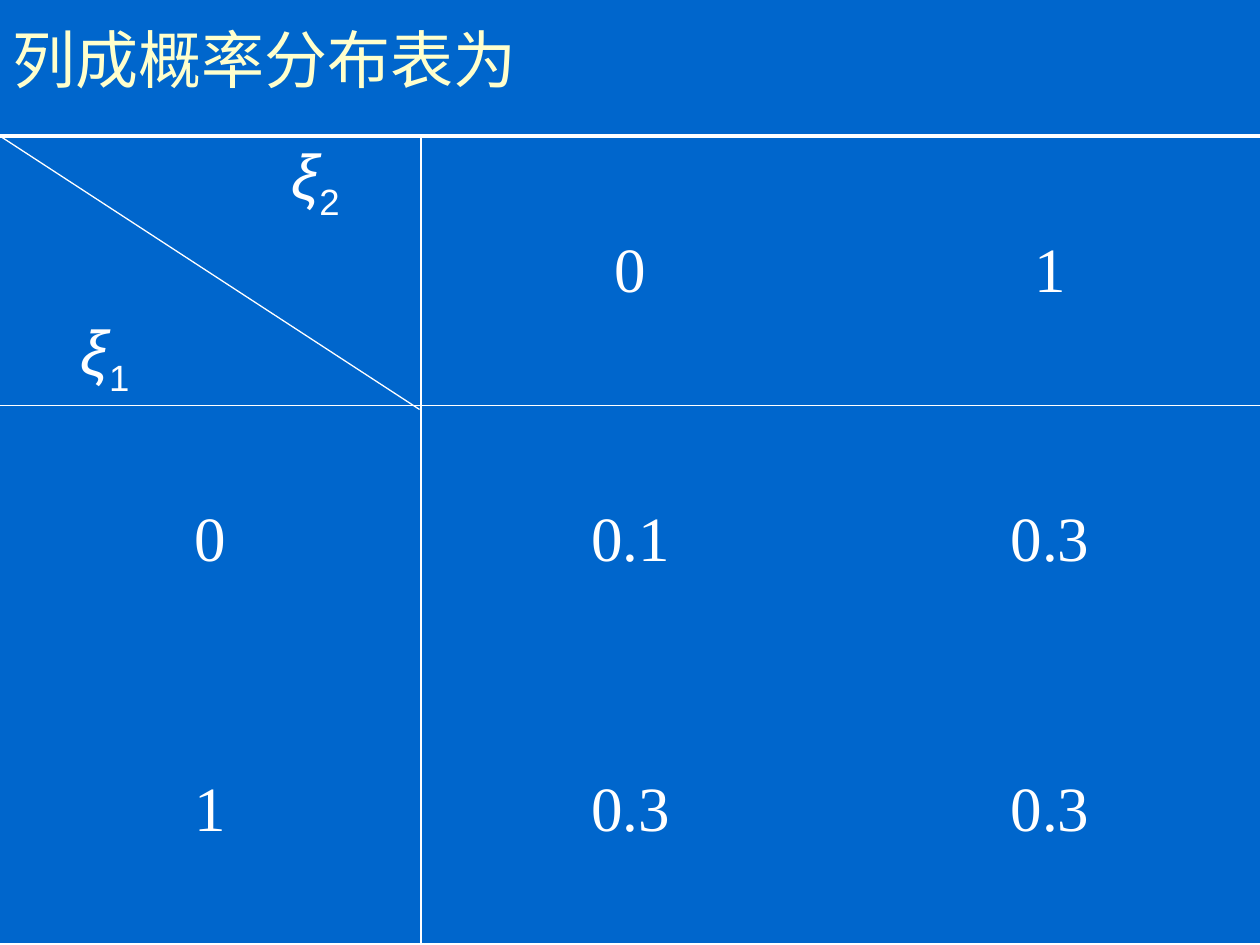
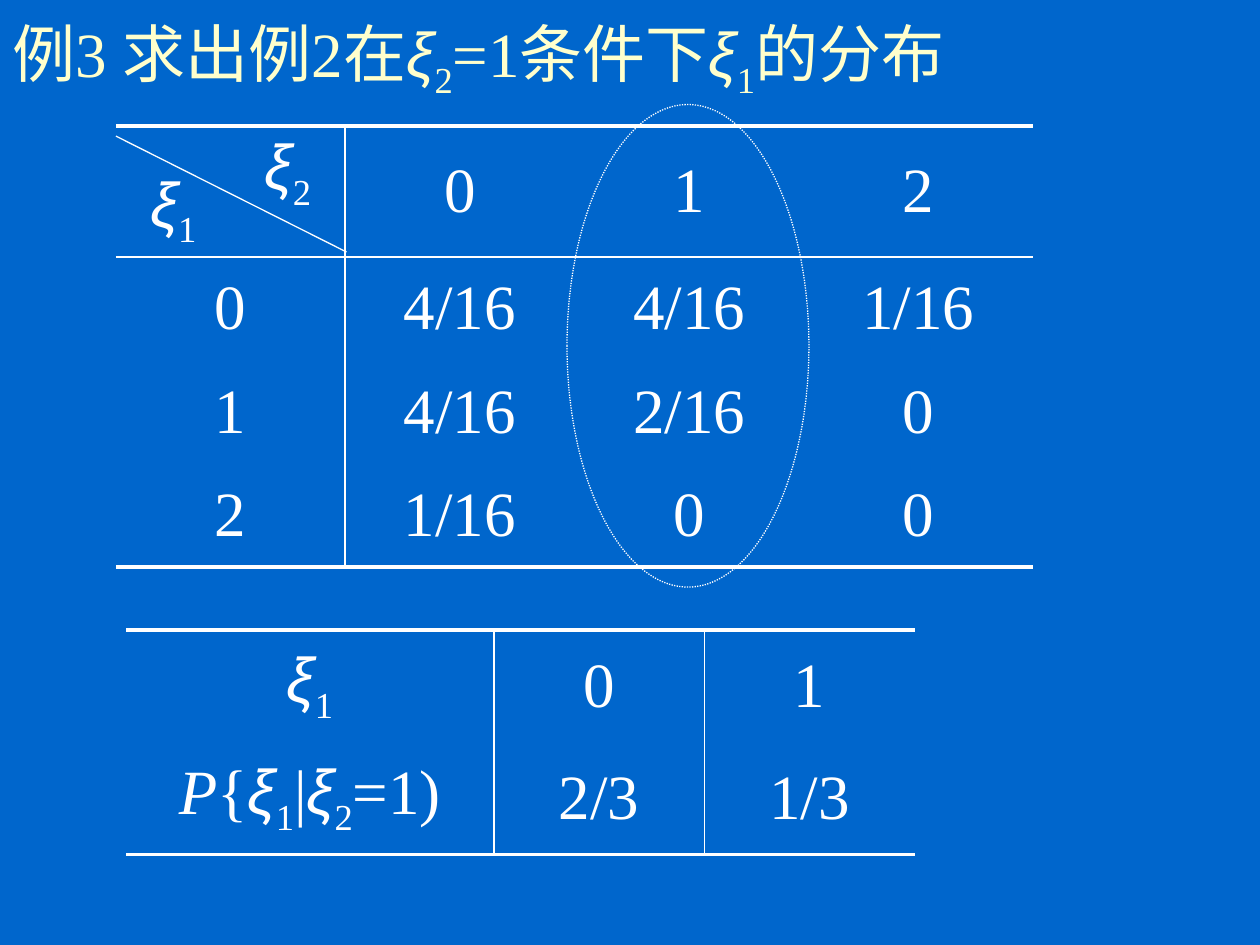
from lxml import etree
from pptx import Presentation
from pptx.dml.color import RGBColor
from pptx.enum import dml, shapes, text
from pptx.oxml.ns import qn
from pptx.util import Inches, Pt

BLUE, CREAM, WHITE = "0066CC", "FFFFCC", "FFFFFF"
SERIF, SANS = "Times New Roman", "Arial"
THICK, THIN, HAIR = 2.25, 1, 0.75

# Run formats: font values, with the baseline shift in percent kept apart
FORMATS = {
    "plain": ({"name": SERIF}, 0),
    "latin": ({"name": SERIF, "italic": True}, 0),
    "greek": ({"name": SANS, "italic": True}, 0),
    "sub": ({"name": SERIF}, -25),
    "sans sub": ({"name": SANS}, -25),
}


def rgb(color):
    return RGBColor.from_string(color)


def xi(index, sub="sub"):
    return [("ξ", "greek"), (index, sub)]


class Deck:
    def __init__(self):
        self.prs = Presentation()
        self.prs.slide_width, self.prs.slide_height = Inches(10), Inches(7.5)
        self.s = None

    def slide(self, title):
        self.s = self.prs.slides.add_slide(self.prs.slide_layouts[5])
        fill = self.s.background.fill
        fill.solid()
        fill.fore_color.rgb = rgb(BLUE)
        sp = self.s.shapes.title
        sp.left, sp.top, sp.width, sp.height = map(Inches, (0, 0, 9.75, 0.92))
        tf = sp.text_frame
        tf.auto_size = text.MSO_AUTO_SIZE.NONE
        tf.vertical_anchor = text.MSO_ANCHOR.MIDDLE
        self.add_runs(tf, title, CREAM, text.PP_ALIGN.LEFT)

    def add_runs(self, tf, content, color=WHITE, align=text.PP_ALIGN.CENTER):
        """Content is a plain string or a list of (text, format name)."""
        p = tf.paragraphs[0]
        p.alignment = align
        runs = [(content, "plain")] if isinstance(content, str) else content
        for words, style in runs:
            r = p.add_run()
            r.text = words
            values, shift = FORMATS[style]
            for key, value in {"size": Pt(36), **values}.items():
                setattr(r.font, key, value)
            r.font.color.rgb = rgb(color)
            if shift:
                r.font._element.set("baseline", str(shift * 1000))

    def border(self, cell, widths):
        """Draw the sides named in widths (points) and clear the others."""
        tc_pr = cell._tc.get_or_add_tcPr()
        for side in "LRTB":
            width = widths.get(side)
            ln = etree.SubElement(tc_pr, qn(f"a:ln{side}"), w=str(Pt(width or 0)))
            if width:
                solid = etree.SubElement(ln, qn("a:solidFill"))
                etree.SubElement(solid, qn("a:srgbClr"), val=WHITE)
            else:
                etree.SubElement(ln, qn("a:noFill"))

    def table(self, left, top, cols, rows, data, dividers, split_head=False):
        """Rule top and bottom, plus a vertical after each column in dividers.

        split_head gives two corner cells, merged below a ruled head row.
        """
        frame = self.s.shapes.add_table(
            len(rows), len(cols), *map(Inches, (left, top, sum(cols), sum(rows))))
        tbl = frame.table
        tbl.first_row = tbl.horz_banding = False
        for line, sizes, attr in ((tbl.columns, cols, "width"), (tbl.rows, rows, "height")):
            for item, size in zip(line, sizes):
                setattr(item, attr, Inches(size))
        last = len(rows) - 1
        for i, values in enumerate(data):
            if split_head and i:
                tbl.cell(i, 0).merge(tbl.cell(i, 1))
                values = [values[0], None, *values[1:]]
            for j, value in enumerate(values):
                cell = tbl.cell(i, j)
                merged = split_head and i and j == 0
                self.border(cell, {
                    "L": THIN if j - 1 in dividers else None,
                    "R": THIN if j in dividers or (merged and 1 in dividers) else None,
                    "T": THICK if i == 0 else THIN if split_head and i == 1 else None,
                    "B": THICK if i == last else THIN if split_head and i == 0 else None,
                })
                cell.fill.background()
                cell.vertical_anchor = text.MSO_ANCHOR.MIDDLE
                if value is not None:
                    self.add_runs(cell.text_frame, value)
        if split_head:
            tbl.cell(0, 0).vertical_anchor = text.MSO_ANCHOR.BOTTOM
            tbl.cell(0, 1).vertical_anchor = text.MSO_ANCHOR.TOP

    def line(self, x1, y1, x2, y2):
        cn = self.s.shapes.add_connector(
            shapes.MSO_CONNECTOR.STRAIGHT, *map(Inches, (x1, y1, x2, y2)))
        cn.line.color.rgb = rgb(WHITE)
        cn.line.width = Pt(HAIR)
        etree.SubElement(cn._element.spPr, qn("a:effectLst"))

    def dotted_ellipse(self, left, top, width, height):
        sp = self.s.shapes.add_shape(
            shapes.MSO_SHAPE.OVAL, *map(Inches, (left, top, width, height)))
        sp.shadow.inherit = False
        sp.fill.background()
        sp.line.color.rgb = rgb(WHITE)
        sp.line.width = Pt(HAIR)
        sp.line.dash_style = dml.MSO_LINE.ROUND_DOT


def main():
    deck = Deck()

    # Joint distribution table
    deck.slide("列成概率分布表为")
    deck.table(0, 1.08, [1.67, 1.67, 3.33, 3.33], [2.14] * 3, [
        [xi("1", "sans sub"), xi("2", "sans sub"), "0", "1"],
        ["0", "0.1", "0.3"],
        ["1", "0.3", "0.3"],
    ], dividers=[1], split_head=True)
    deck.line(0, 1.08, 3.33, 3.25)

    # Example 3: joint table with the conditioning column circled
    deck.slide([("例3 求出例2在", "plain"), *xi("2"), ("=1条件下", "plain"),
                *xi("1"), ("的分布", "plain")])
    deck.table(0.92, 1, [0.91] * 2 + [1.82] * 3, [1.04] + [0.82] * 3, [
        [xi("1"), xi("2"), "0", "1", "2"],
        ["0", "4/16", "4/16", "1/16"],
        ["1", "4/16", "2/16", "0"],
        ["2", "1/16", "0", "0"],
    ], dividers=[1], split_head=True)
    deck.line(0.92, 1.08, 2.75, 2)

    # Conditional distribution
    condition = [("P", "latin"), ("{", "plain"), *xi("1"), ("|", "plain"),
                 *xi("2"), ("=1)", "plain")]
    deck.table(1, 5, [2.92, 1.67, 1.67], [0.89] * 2, [
        [xi("1"), "0", "1"],
        [condition, "2/3", "1/3"],
    ], dividers=[0, 1])
    deck.dotted_ellipse(4.5, 0.83, 1.92, 3.83)

    deck.prs.save("out.pptx")


if __name__ == "__main__":
    main()
